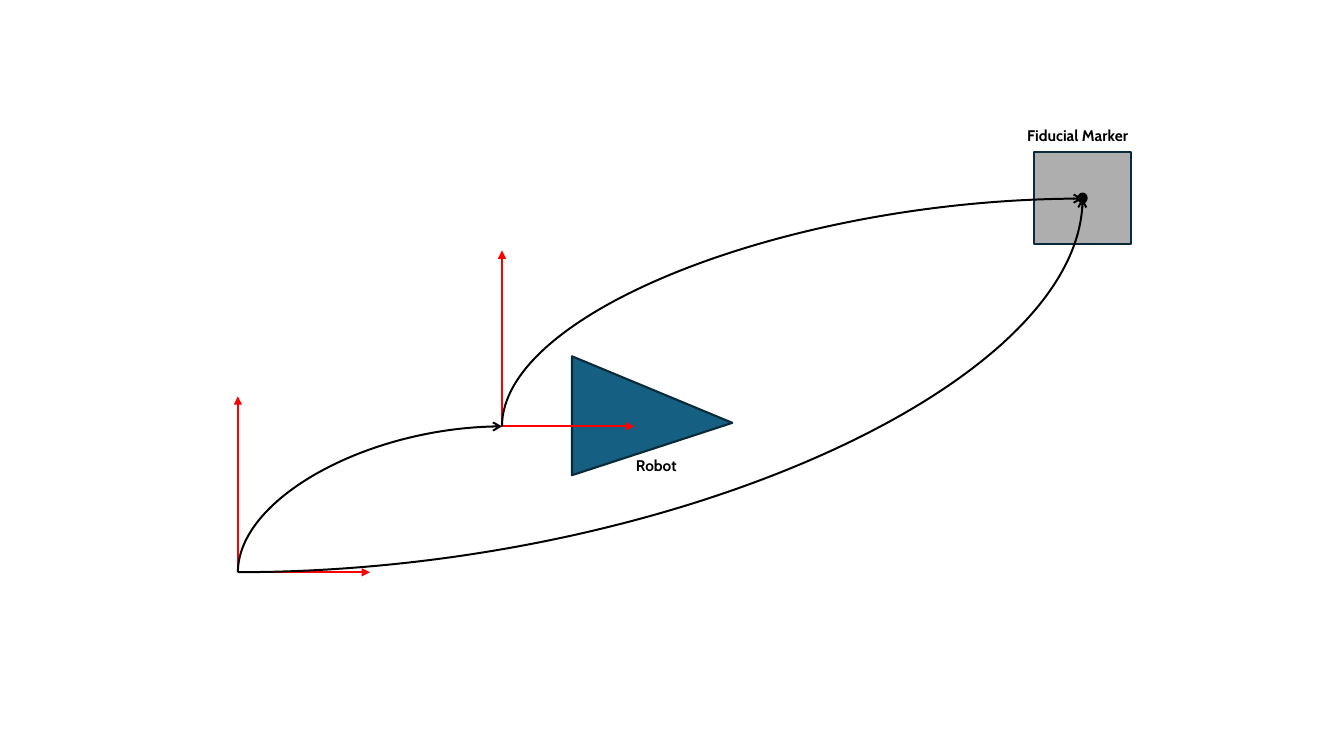
from lxml import etree
from pptx import Presentation
from pptx.dml.color import RGBColor
from pptx.enum.shapes import MSO_CONNECTOR, MSO_SHAPE
from pptx.enum.text import MSO_AUTO_SIZE
from pptx.oxml.ns import qn
from pptx.util import Inches, Pt

RECT, OVAL = MSO_SHAPE.RECTANGLE, MSO_SHAPE.OVAL
TRIANGLE = MSO_SHAPE.ISOSCELES_TRIANGLE
STRAIGHT, CURVE = MSO_CONNECTOR.STRAIGHT, MSO_CONNECTOR.CURVE
FIT = MSO_AUTO_SIZE.SHAPE_TO_FIT_TEXT

WIDTH, HEIGHT = Inches(13.33), Inches(7.5)
BLACK, WHITE, RED, NAVY = "000000", "FFFFFF", "FF0000", "092A39"
WORLD, ROBOT, MARKER = (17.7, 75.7), (37.35, 56.4), (80.55, 26.27)
AXIS_X, AXIS_Y = 9.83, 23.27


def color(hex_value):
    return RGBColor.from_string(hex_value)


def across(percent):
    return round(WIDTH * percent / 100)


def down(percent):
    return round(HEIGHT * percent / 100)


def box(x, y, w, h):
    return across(x), down(y), across(w), down(h)


def add_block(s, kind, place, fill, line):
    sp = s.shapes.add_shape(kind, *box(*place))
    sp.shadow.inherit = False
    sp.fill.solid()
    sp.fill.fore_color.rgb = color(fill)
    sp.line.color.rgb = color(line)
    sp.line.width = Pt(1.5)
    return sp


def add_label(s, text, place):
    tf = s.shapes.add_textbox(*box(*place)).text_frame
    tf.word_wrap = True
    tf.auto_size = FIT
    p = tf.paragraphs[0]
    p.text = text
    font = p.runs[0].font
    font.name, font.size, font.bold = "Cabin", Pt(11), True
    font.color.rgb = color(BLACK)


def add_arrow(s, kind, ends, line, width, head):
    cn = s.shapes.add_connector(kind, *ends)
    cn.line.color.rgb = color(line)
    cn.line.width = Pt(width)
    etree.SubElement(cn.line._get_or_add_ln(), qn("a:tailEnd"), type=head)
    etree.SubElement(cn._element.spPr, qn("a:effectLst"))
    return cn


def add_axes(s, origin):
    x, y = origin
    for tip_x, tip_y in ((x + AXIS_X, y), (x, y - AXIS_Y)):
        ends = across(x), down(y), across(tip_x), down(tip_y)
        add_arrow(s, STRAIGHT, ends, RED, 1.5, "triangle")


def add_transform(s, start, end, rises_first):
    x1, y1, x2, y2 = *box(*start, 0, 0)[:2], *box(*end, 0, 0)[:2]
    ends = x1, y1, x2, y2
    if rises_first:
        mid_x, mid_y = (x1 + x2) // 2, (y1 + y2) // 2
        half_w, half_h = (y1 - y2) // 2, (x2 - x1) // 2
        ends = (mid_x - half_w, mid_y - half_h,
                mid_x + half_w, mid_y + half_h)
    cn = add_arrow(s, CURVE, ends, BLACK, 1.42, "arrow")
    spPr = cn._element.spPr
    spPr.find(qn("a:prstGeom")).set("prst", "curvedConnector2")
    if rises_first:
        spPr.find(qn("a:xfrm")).set("rot", str(270 * 60000))


def main():
    prs = Presentation()
    prs.slide_width, prs.slide_height = WIDTH, HEIGHT
    s = prs.slides.add_slide(prs.slide_layouts[6])

    add_block(s, RECT, (15.08, 14.53, 71.55, 68.8), WHITE, WHITE)
    robot = add_block(s, TRIANGLE, (44.1, 44.4, 8.85, 21.2), "156082", NAVY)
    robot.adjustments[0] = 0.56
    robot.rotation = 90
    for origin in (ROBOT, WORLD):
        add_axes(s, origin)
    add_label(s, "Robot", (46.58, 59.73, 6.68, 3.87))

    add_block(s, RECT, (76.95, 20.13, 7.2, 12.13), "AEAEAE", NAVY)
    add_block(s, OVAL, (80.25, 25.6, 0.6, 1.2), BLACK, BLACK)
    add_label(s, "Fiducial Marker", (75.68, 16, 9.68, 3.87))

    add_transform(s, WORLD, ROBOT, True)
    add_transform(s, ROBOT, MARKER, True)
    add_transform(s, WORLD, MARKER, False)
    prs.save("out.pptx")


if __name__ == "__main__":
    main()
